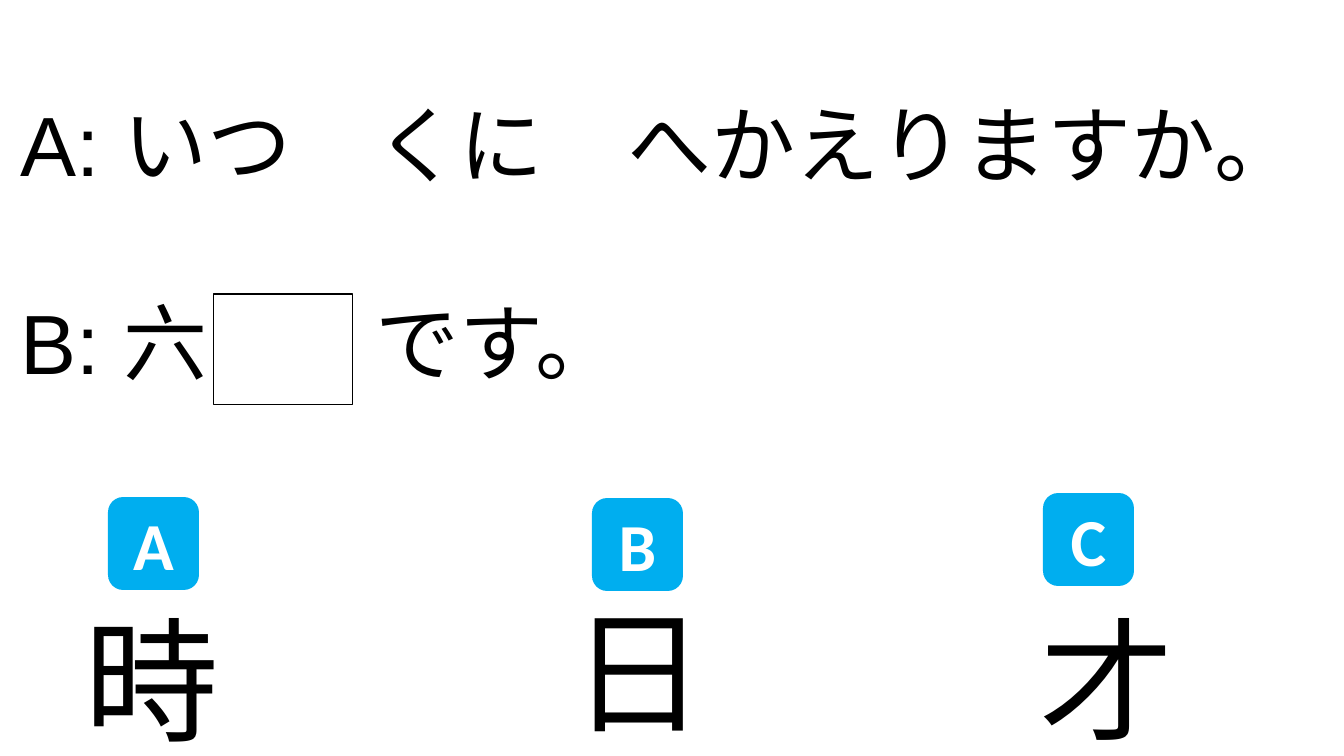
from pptx import Presentation
from pptx.dml.color import RGBColor
from pptx.enum.shapes import MSO_SHAPE
from pptx.enum.text import MSO_ANCHOR, MSO_AUTO_SIZE, PP_ALIGN
from pptx.util import Emu, Pt

PIXEL = 914400 / 100.8
ROUNDED = MSO_SHAPE.ROUNDED_RECTANGLE
RECTANGLE = MSO_SHAPE.RECTANGLE
MIDDLE = MSO_ANCHOR.MIDDLE
CENTER = PP_ALIGN.CENTER
GROW = MSO_AUTO_SIZE.SHAPE_TO_FIT_TEXT
BLACK, WHITE, BLUE = "000000", "FFFFFF", "00AEEF"

DIALOGUE = ["A: いつ\u3000くに\u3000へかえりますか。", "B: 六\u3000\u3000です。"]
CHOICES = [
    ("A", (108, 497), "時", (75, 592)),
    ("B", (592, 498), "日", (562, 583)),
    ("C", (1043, 493), "才", (1030, 592)),
]


def px(*lengths):
    """Turn pixel lengths into EMU."""
    return [Emu(round(length * PIXEL)) for length in lengths]


def color(value):
    """Turn a hex string into a colour."""
    return RGBColor.from_string(value)


def format_runs(paragraph, size, font_name, font_color, bold=False):
    """Set the font of every run in a paragraph."""
    for run in paragraph.runs:
        run.font.size = Pt(size)
        run.font.name = font_name
        run.font.color.rgb = color(font_color)
        run.font.bold = bold


def add_text(slide, box, lines, size, gap=0):
    """Add a wrapping text box with a gap between its lines."""
    text_frame = slide.shapes.add_textbox(*px(*box)).text_frame
    text_frame.word_wrap = True
    text_frame.auto_size = GROW
    text_frame.text = "\n".join(lines)
    for paragraph in text_frame.paragraphs:
        format_runs(paragraph, size, "Arial", BLACK)
    for paragraph in text_frame.paragraphs[1:]:
        paragraph.space_before = Pt(gap)


def add_box(slide, kind, box, fill, line=None):
    """Add a filled preset shape, outlined if a line colour is given."""
    shape = slide.shapes.add_shape(kind, *px(*box))
    shape.shadow.inherit = False
    shape.fill.solid()
    shape.fill.fore_color.rgb = color(fill)
    if line:
        shape.line.color.rgb = color(line)
        shape.line.width = Pt(0.75)
    else:
        shape.line.fill.background()
    return shape


def add_badge(slide, letter, position):
    """Add a rounded badge with the letter of a choice."""
    badge = add_box(slide, ROUNDED, (*position, 91, 93), BLUE)
    text_frame = badge.text_frame
    text_frame.text = letter
    text_frame.vertical_anchor = MIDDLE
    paragraph = text_frame.paragraphs[0]
    paragraph.alignment = CENTER
    format_runs(paragraph, 48, "Calibri", WHITE, bold=True)


def main():
    """Build the kanji quiz slide."""
    presentation = Presentation()
    presentation.slide_width, presentation.slide_height = px(1344, 756)
    slide = presentation.slides.add_slide(presentation.slide_layouts[6])
    add_text(slide, (11, 88, 1333, 316), DIALOGUE, 60, gap=69)
    for letter, badge_position, kanji, kanji_position in CHOICES:
        add_text(slide, (*kanji_position, 210, 173), [kanji], 96)
        add_badge(slide, letter, badge_position)
    add_box(slide, RECTANGLE, (214, 294, 139, 111), WHITE, BLACK)
    presentation.save("out.pptx")


main()
